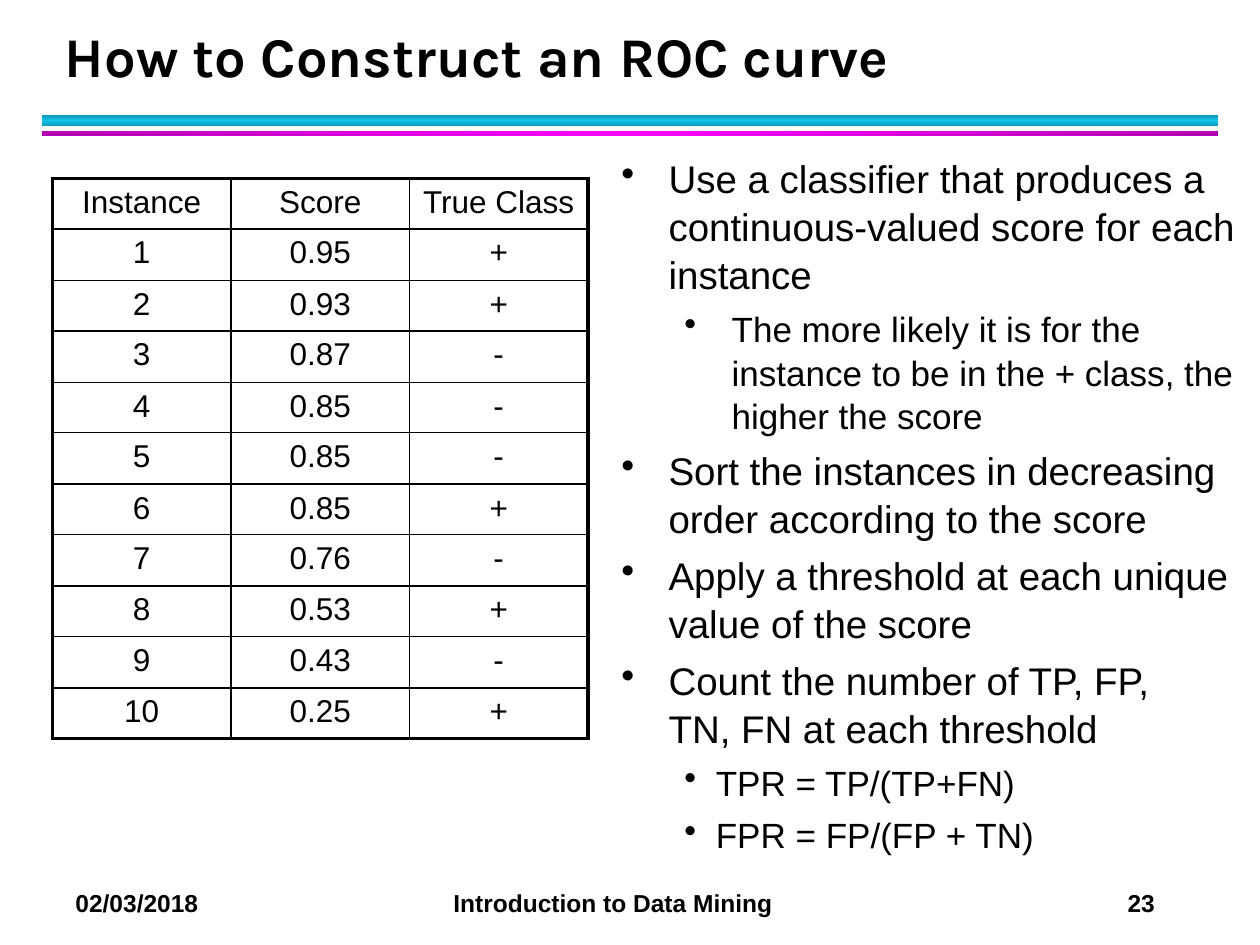
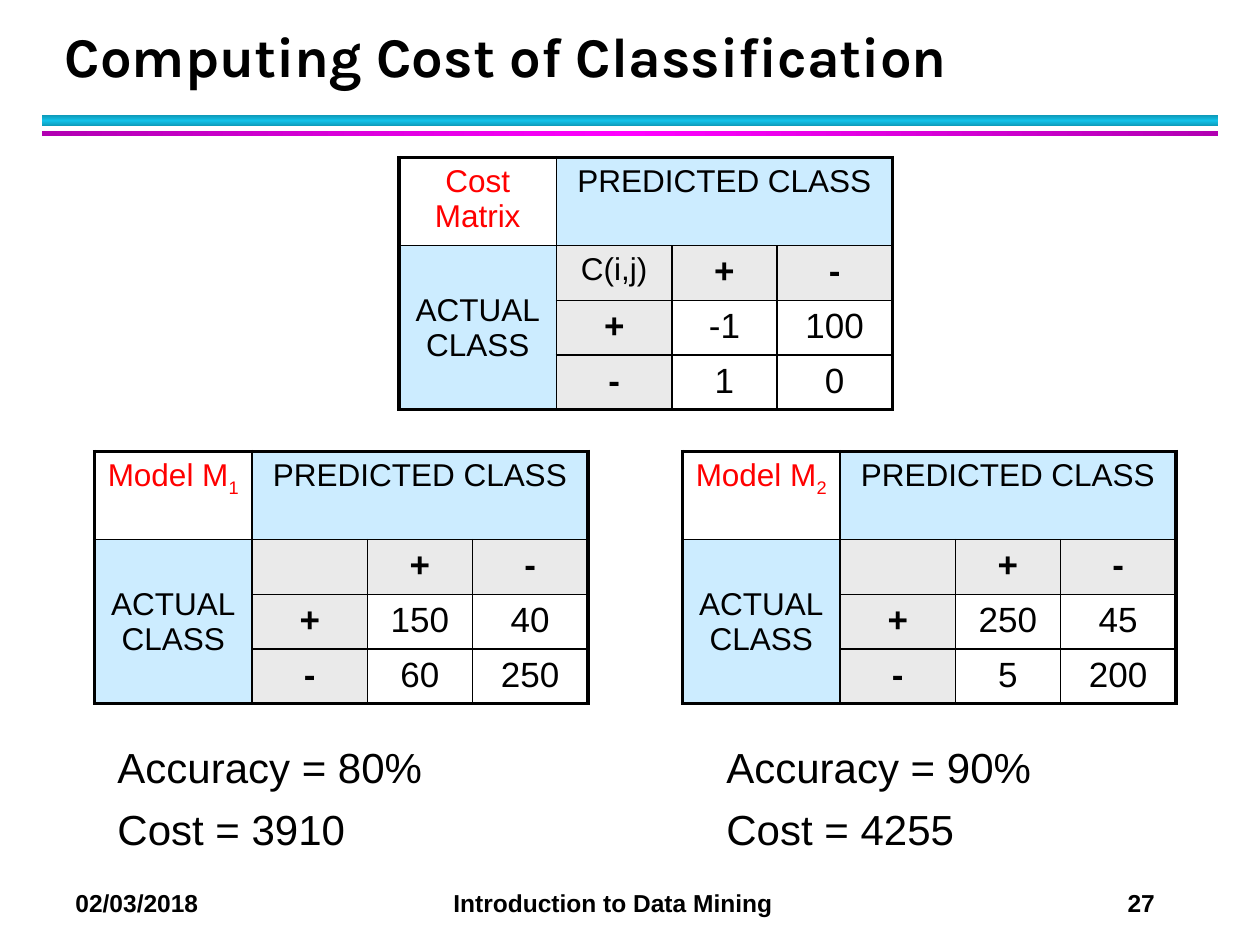
from copy import deepcopy
from dataclasses import dataclass

from pptx import Presentation
from pptx.dml.color import RGBColor
from pptx.enum.shapes import MSO_SHAPE
from pptx.enum.text import MSO_ANCHOR, PP_ALIGN
from pptx.oxml.ns import qn
from pptx.oxml.xmlchemy import OxmlElement
from pptx.util import Pt

PX = 7620  # EMU per px, 120 px to the inch
RECT = MSO_SHAPE.RECTANGLE
CENTER = PP_ALIGN.CENTER
TOP, MIDDLE, BOTTOM = MSO_ANCHOR.TOP, MSO_ANCHOR.MIDDLE, MSO_ANCHOR.BOTTOM


@dataclass(frozen=True)
class Theme:
    black: str = "000000"
    red: str = "FF0000"
    class_fill: str = "CCECFF"
    sign_fill: str = "EAEAEA"
    cyan: tuple = ("0E9BBA", "12C2E9", "0E9BBA")
    magenta: tuple = ("B200B2", "FF00FF", "B200B2")
    body_font: str = "Arial"
    title_font: str = "Karla"
    title: int = 32
    result: int = 24
    bullet: int = 22
    sub_bullet: int = 20
    value: int = 20
    cell: int = 18
    footer: int = 14
    outer_line: float = 2.25
    inner_line: float = 1


T = Theme()


def format_runs(p, size, color=T.black, bold=False, font=T.body_font):
    for r in p.runs:
        r.font.size = Pt(size)
        r.font.bold = bold
        r.font.name = font
        r.font.color.rgb = RGBColor.from_string(color)


def add_grid(slide, x, y, cols, rows, merges=()):
    """Add an unstyled table with a heavy frame and thin inner lines."""
    frame = slide.shapes.add_table(len(rows), len(cols), x * PX, y * PX,
                                   sum(cols) * PX, sum(rows) * PX)
    table = frame.table
    table.first_row = table.horz_banding = False
    for column, width in zip(table.columns, cols):
        column.width = width * PX
    for row, height in zip(table.rows, rows):
        row.height = height * PX
    for first, last in merges:
        table.cell(*first).merge(table.cell(*last))
    for i in range(len(rows)):
        for j in range(len(cols)):
            cell = table.cell(i, j)
            right, bottom = j + 1, i + 1
            if cell.is_merge_origin:
                right, bottom = j + cell.span_width, i + cell.span_height
            edges = {"a:lnL": j == 0, "a:lnR": right == len(cols),
                     "a:lnT": i == 0, "a:lnB": bottom == len(rows)}
            tcPr = cell._tc.get_or_add_tcPr()
            for tag, is_outer in edges.items():
                ln = OxmlElement(tag)
                ln.set("w", str(Pt(T.outer_line if is_outer else T.inner_line)))
                fill = OxmlElement("a:solidFill")
                color = OxmlElement("a:srgbClr")
                color.set("val", T.black)
                fill.append(color)
                ln.append(fill)
                tcPr.append(ln)
            cell.fill.background()
    return table


prs = Presentation()
prs.slide_width, prs.slide_height = 1200 * PX, 900 * PX

# Title, bands and footer of every slide
slides = []
for title, number in [("How to Construct an ROC curve", 23),
                      ("Computing Cost of Classification", 27)]:
    s = prs.slides.add_slide(prs.slide_layouts[6])
    slides.append(s)

    for top, height, colors, angle in [(110, 10, T.cyan, 90), (125, 5, T.magenta, 0)]:
        sp = s.shapes.add_shape(RECT, 40 * PX, top * PX, 1120 * PX, height * PX)
        sp.shadow.inherit = False
        sp.line.fill.background()
        sp.fill.gradient()
        sp.fill.gradient_angle = angle
        stop_list = next(sp._element.iter(qn("a:gsLst")))
        stop_list.insert(1, deepcopy(stop_list[0]))
        for stop, color, position in zip(sp.fill.gradient_stops, colors, (0, 0.5, 1)):
            stop.color.rgb = RGBColor.from_string(color)
            stop.position = position

    tf = s.shapes.add_textbox(60 * PX, 840 * PX, 1120 * PX, 41 * PX).text_frame
    tf.word_wrap = True
    p = tf.paragraphs[0]
    p.text = f"02/03/2018\tIntroduction to Data Mining\t{number}"
    format_runs(p, T.footer, bold=True)
    tabs = OxmlElement("a:tabLst")
    for position in (360, 1002):
        tab = OxmlElement("a:tab")
        tab.set("pos", str(position * PX))
        tab.set("algn", "l")
        tabs.append(tab)
    p._p.get_or_add_pPr().append(tabs)

    tf = s.shapes.add_textbox(50 * PX, 20 * PX, 1087 * PX, 70 * PX).text_frame
    tf.word_wrap = True
    tf.vertical_anchor = BOTTOM
    p = tf.paragraphs[0]
    p.text = title
    p.line_spacing = Pt(36)
    format_runs(p, T.title, bold=True, font=T.title_font)

roc_slide, cost_slide = slides

# ROC slide: scored instances
scores = ["0.95", "0.93", "0.87", "0.85", "0.85", "0.85", "0.76", "0.53", "0.43", "0.25"]
records = [("Instance", "Score", "True Class")]
records += [(str(n), score, sign)
            for n, (score, sign) in enumerate(zip(scores, "++---+-+-+"), 1)]
row_tops = [round(533 * i / len(records)) for i in range(len(records) + 1)]
row_heights = [b - a for a, b in zip(row_tops, row_tops[1:])]
table = add_grid(roc_slide, 50, 170, [170] * 3, row_heights)
for i, record in enumerate(records):
    for j, text in enumerate(record):
        p = table.cell(i, j).text_frame.paragraphs[0]
        p.text = text
        p.alignment = CENTER
        format_runs(p, T.cell)

# ROC slide: steps as (level, left margin, hanging indent, text)
steps = [
    (0, 45, 45, "Use a classifier that produces a continuous-valued score for each instance"),
    (1, 105, 45, "The more likely it is for the instance to be in the + class, the higher the score"),
    (0, 45, 45, "Sort the instances in decreasing order according to the score"),
    (0, 45, 45, "Apply a threshold at each unique value of the score"),
    (0, 45, 45, "Count the number of TP, FP,\vTN, FN at each threshold"),
    (1, 90, 30, "TPR = TP/(TP+FN)"),
    (1, 90, 30, "FPR = FP/(FP + TN)"),
]
tf = roc_slide.shapes.add_textbox(580 * PX, 140 * PX, 610 * PX, 665 * PX).text_frame
tf.word_wrap = True
for i, (level, margin, hang, text) in enumerate(steps):
    p = tf.add_paragraph() if i else tf.paragraphs[0]
    p.text = text
    p.level = level
    p.line_spacing = 1.04
    p.space_before = Pt(5)
    format_runs(p, T.sub_bullet if level else T.bullet)
    pPr = p._p.get_or_add_pPr()
    pPr.set("marL", str(margin * PX))
    pPr.set("indent", str(-hang * PX))
    bullet = OxmlElement("a:buChar")
    bullet.set("char", "•")
    pPr.append(bullet)

# Cost slide: matrices as (left, top, name, subscript, corner, values)
matrices = [
    (380, 150, "Cost Matrix", "", "C(i,j)", [("-1", "100"), ("1", "0")]),
    (90, 430, "Model M", "1", "", [("150", "40"), ("60", "250")]),
    (650, 430, "Model M", "2", "", [("250", "45"), ("5", "200")]),
]
for x, y, name, subscript, corner, values in matrices:
    table = add_grid(cost_slide, x, y, [150, 110, 100, 110], [84, 52, 52, 52],
                     merges=[((0, 1), (0, 3)), ((1, 0), (3, 0))])
    # Each entry: row, column, text, size, colour, bold, fill
    entries = [
        (0, 0, name, T.cell, T.red, False, None),
        (0, 1, "PREDICTED CLASS", T.cell, T.black, False, T.class_fill),
        (1, 0, "ACTUAL\vCLASS", T.cell, T.black, False, T.class_fill),
        (1, 1, corner, T.cell, T.black, False, T.sign_fill),
    ]
    for i, sign in enumerate("+-"):
        entries += [(1, i + 2, sign, T.value, T.black, True, T.sign_fill),
                    (i + 2, 1, sign, T.value, T.black, True, T.sign_fill)]
        entries += [(i + 2, j + 2, value, T.value, T.black, False, None)
                    for j, value in enumerate(values[i])]
    for i, j, text, size, color, bold, fill in entries:
        cell = table.cell(i, j)
        cell.vertical_anchor = MIDDLE if cell.is_merge_origin and i else TOP
        if fill:
            cell.fill.solid()
            cell.fill.fore_color.rgb = RGBColor.from_string(fill)
        p = cell.text_frame.paragraphs[0]
        p.text = text
        p.alignment = CENTER
        format_runs(p, size, color, bold)
    if subscript:
        p = table.cell(0, 0).text_frame.paragraphs[0]
        r = p.add_run()
        r.text = subscript
        format_runs(p, T.cell, T.red)
        r.font._element.set("baseline", "-25000")

# Cost slide: result of each model
for x, accuracy, cost in [(100, "80%", 3910), (680, "90%", 4255)]:
    tf = cost_slide.shapes.add_textbox(x * PX, 700 * PX, 400 * PX, 130 * PX).text_frame
    tf.word_wrap = True
    tf.text = f"Accuracy = {accuracy}\nCost = {cost}"
    for p in tf.paragraphs:
        p.space_before, p.space_after = Pt(3), Pt(4)
        format_runs(p, T.result)

prs.save("out.pptx")
